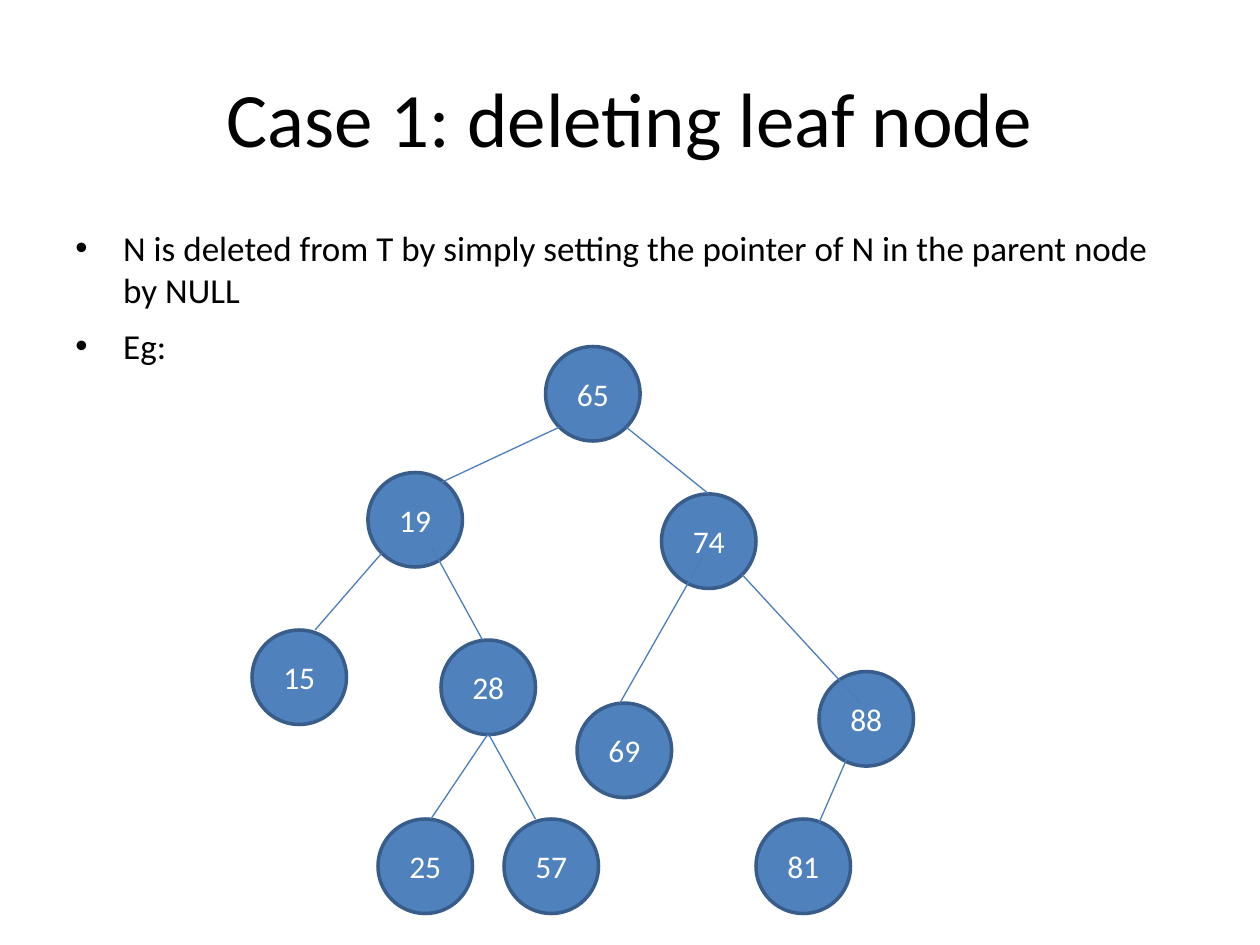
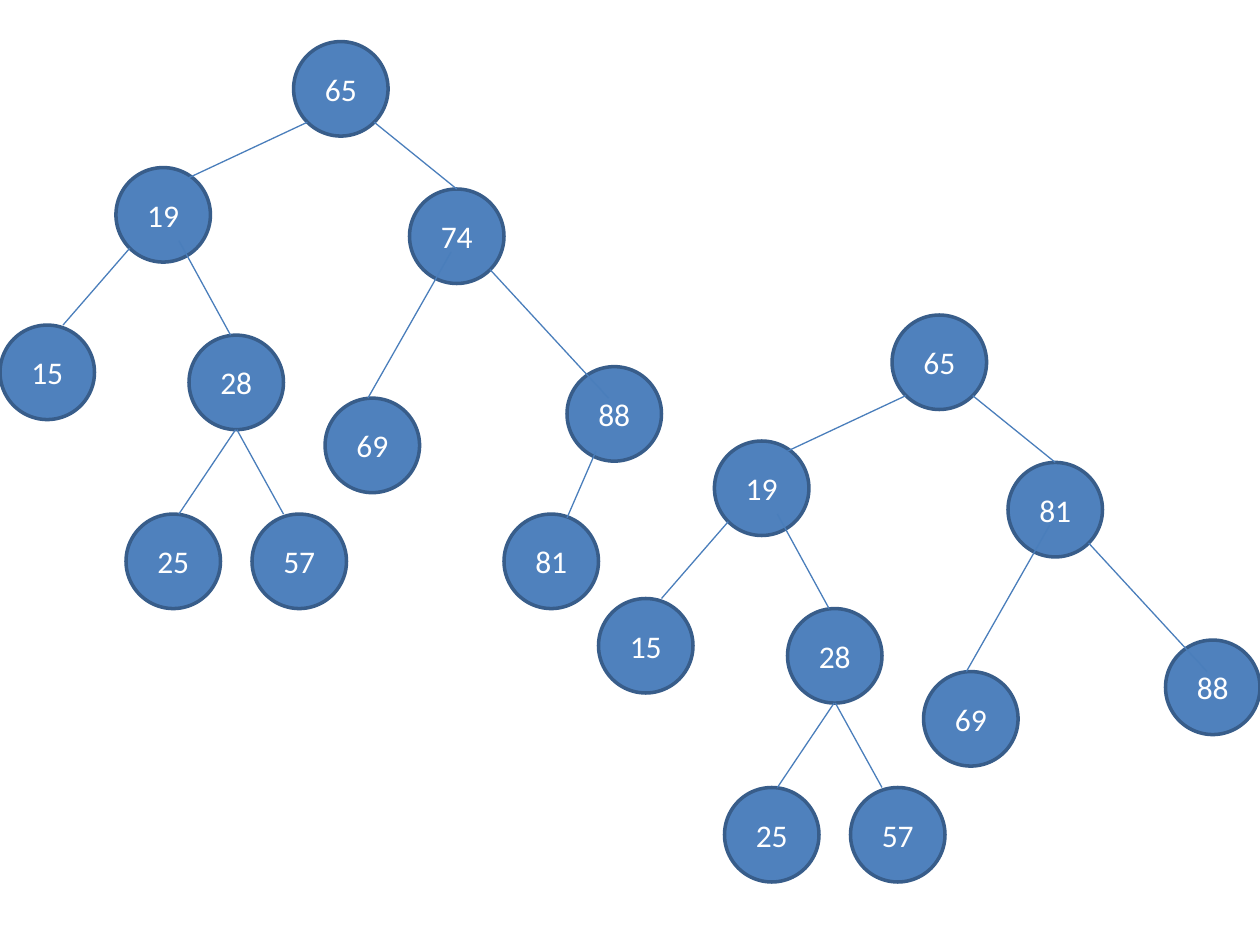
from dataclasses import dataclass

from lxml import etree
from pptx import Presentation
from pptx import util as u
from pptx.dml.color import RGBColor
from pptx.enum import shapes, text
from pptx.oxml import ns


@dataclass(frozen=True)
class Theme:
    font: str = "Calibri"
    ink: RGBColor = RGBColor(0x00, 0x00, 0x00)
    node_fill: RGBColor = RGBColor(0x4F, 0x81, 0xBD)
    node_line: RGBColor = RGBColor(0x38, 0x5D, 0x8A)
    node_text: RGBColor = RGBColor(0xFF, 0xFF, 0xFF)
    edge: RGBColor = RGBColor(0x4A, 0x7E, 0xBB)
    title_size: u.Pt = u.Pt(44)
    body_size: u.Pt = u.Pt(20)
    node_size: u.Pt = u.Pt(18)


@dataclass(frozen=True)
class Node:
    value: str
    left: float
    top: float


@dataclass(frozen=True)
class Edge:
    """A line down to a child, optionally joined to the child's top."""
    child: str
    start: tuple[float, float]
    end: tuple[float, float]
    joined: bool = False


THEME = Theme()
NODE_DIAMETER = u.Inches(0.75)

# The search tree, in inches from its own top left corner
NODES = [
    Node("65", 2.33, 0), Node("19", 0.92, 1), Node("74", 3.25, 1.17),
    Node("15", 0, 2.25), Node("28", 1.5, 2.33), Node("69", 2.58, 2.83),
    Node("88", 4.5, 2.58), Node("25", 1, 3.75), Node("57", 2, 3.75),
    Node("81", 4, 3.75),
]
EDGES = [
    Edge("19", (2.44, 0.64), (1.5, 1.08)),
    Edge("15", (1.03, 1.64), (0.5, 2.25)),
    Edge("74", (2.97, 0.64), (3.63, 1.17), joined=True),
    Edge("28", (1.42, 1.58), (1.83, 2.33)),
    Edge("88", (3.89, 1.81), (4.83, 2.83)),
    Edge("69", (3.58, 1.67), (2.92, 2.83)),
    Edge("25", (1.87, 3.08), (1.42, 3.75)),
    Edge("57", (1.88, 3.08), (2.25, 3.75)),
    Edge("81", (4.73, 3.25), (4.5, 3.78)),
]


def style_paragraph(paragraph, size: u.Pt, color: RGBColor) -> None:
    paragraph.font.name = THEME.font
    paragraph.font.size = size
    paragraph.font.color.rgb = color


def add_text_frame(slide, top: float):
    box = slide.shapes.add_textbox(
        u.Inches(0.5), u.Inches(top), u.Inches(9), u.Inches(1.25))
    box.text_frame.word_wrap = True
    return box.text_frame


def add_title(slide, title: str) -> None:
    frame = add_text_frame(slide, 0.3)
    frame.vertical_anchor = text.MSO_ANCHOR.MIDDLE
    frame.text = title
    paragraph = frame.paragraphs[0]
    paragraph.alignment = text.PP_ALIGN.CENTER
    style_paragraph(paragraph, THEME.title_size, THEME.ink)


def add_bullets(slide, lines: list[str]) -> None:
    frame = add_text_frame(slide, 1.75)
    frame.text = "\n".join(lines)
    indent = u.Inches(0.38)
    for paragraph in frame.paragraphs:
        paragraph.space_before = u.Pt(8)
        style_paragraph(paragraph, THEME.body_size, THEME.ink)
        properties = paragraph._p.get_or_add_pPr()
        properties.set("marL", str(indent))
        properties.set("indent", str(-indent))
        bullet_font = etree.Element(ns.qn("a:buFont"), typeface="Arial")
        bullet = etree.Element(ns.qn("a:buChar"), char="•")
        default_run = properties.find(ns.qn("a:defRPr"))
        default_run.addprevious(bullet_font)
        default_run.addprevious(bullet)


def add_node(slide, label: str, left: float, top: float):
    shape = slide.shapes.add_shape(
        shapes.MSO_SHAPE.OVAL, u.Inches(left), u.Inches(top),
        NODE_DIAMETER, NODE_DIAMETER)
    shape.shadow.inherit = False
    shape.fill.solid()
    shape.fill.fore_color.rgb = THEME.node_fill
    shape.line.color.rgb = THEME.node_line
    shape.line.width = u.Pt(2)
    shape.text_frame.text = label
    shape.text_frame.vertical_anchor = text.MSO_ANCHOR.MIDDLE
    paragraph = shape.text_frame.paragraphs[0]
    paragraph.alignment = text.PP_ALIGN.CENTER
    style_paragraph(paragraph, THEME.node_size, THEME.node_text)
    return shape


def add_edge(slide, edge: Edge, left: float, top: float, child) -> None:
    (start_x, start_y), (end_x, end_y) = edge.start, edge.end
    connector = slide.shapes.add_connector(
        shapes.MSO_CONNECTOR.STRAIGHT,
        u.Inches(left + start_x), u.Inches(top + start_y),
        u.Inches(left + end_x), u.Inches(top + end_y))
    if edge.joined:
        connector.end_connect(child, 0)
    connector.line.color.rgb = THEME.edge
    connector.line.width = u.Pt(0.75)
    etree.SubElement(connector._element.spPr, ns.qn("a:effectLst"))


def add_tree(slide, left: float, top: float,
             deleted: str = "", replacement: str = "") -> None:
    """Draw the tree; a replacement leaf moves up to the deleted node."""
    circles = {}
    for node in NODES:
        if node.value != replacement:
            label = replacement if node.value == deleted else node.value
            circles[node.value] = add_node(
                slide, label, left + node.left, top + node.top)
    for edge in EDGES:
        if edge.child in circles:
            add_edge(slide, edge, left, top, circles[edge.child])


def main() -> None:
    presentation = Presentation()
    presentation.slide_width = u.Inches(10)
    presentation.slide_height = u.Inches(7.5)
    blank = presentation.slide_layouts[6]

    # Deleting a leaf
    slide = presentation.slides.add_slide(blank)
    add_title(slide, "Case 1: deleting leaf node")
    add_bullets(slide, [
        "N is deleted from T by simply setting the pointer of N "
        "in the parent node by NULL",
        "Eg:",
    ])
    add_tree(slide, 2, 2.75)

    # Before and after 81 takes the place of 74
    slide = presentation.slides.add_slide(blank)
    add_tree(slide, 0, 0.33)
    add_tree(slide, 4.75, 2.5, deleted="74", replacement="81")

    presentation.save("out.pptx")


if __name__ == "__main__":
    main()
